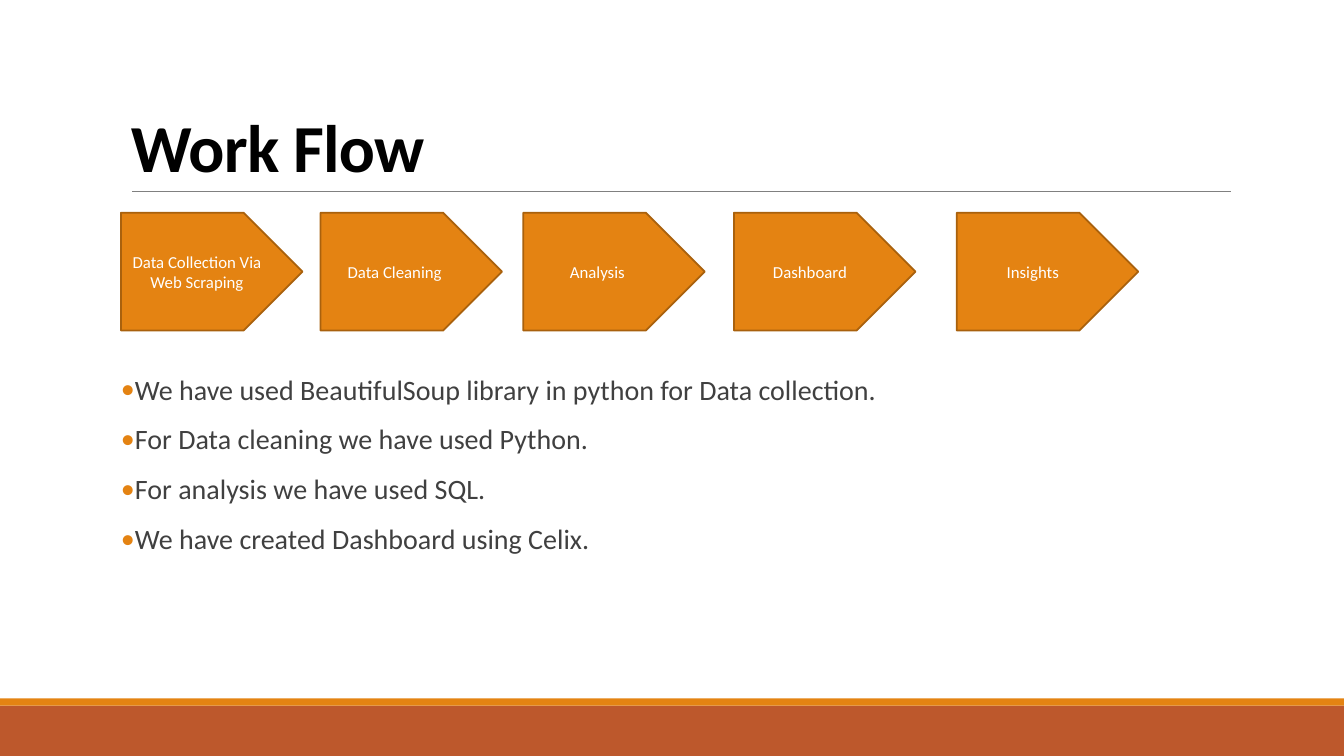
from lxml.etree import SubElement
from pptx import Presentation
from pptx.dml.color import RGBColor
from pptx.enum.shapes import MSO_CONNECTOR, MSO_SHAPE
from pptx.enum.text import MSO_ANCHOR as Anchor, PP_ALIGN as Align
from pptx.oxml.ns import qn
from pptx.util import Inches, Pt

COLORS = {
    "orange": "E48312",
    "dark_orange": "A9610D",
    "rust": "BD582C",
    "rule": "808080",
    "title": "000000",
    "body": "404040",
    "white": "FFFFFF",
}
STEPS = [
    (1.2, "Data Collection Via Web Scraping"),
    (3.18, "Data Cleaning "),
    (5.19, "Analysis "),
    (7.28, "Dashboard"),
    (9.49, "Insights"),
]
NOTES = [
    "We have used BeautifulSoup library in python for Data collection.",
    "For Data cleaning we have used Python.",
    "For analysis we have used SQL.",
    "We have created Dashboard using Celix.",
]


class SlideBuilder:
    font_name = "Calibri"

    def __init__(self, slide):
        self.slide = slide

    def color(self, name):
        return RGBColor.from_string(COLORS[name])

    def format_runs(self, paragraph, size, color, bold=False):
        for run in paragraph.runs:
            run.font.name = self.font_name
            run.font.size = Pt(size)
            run.font.bold = bold
            run.font.color.rgb = self.color(color)

    def block(self, preset, left, top, width, height, fill, line=None):
        shape = self.slide.shapes.add_shape(
            preset, Inches(left), Inches(top), Inches(width), Inches(height))
        shape.shadow.inherit = False
        shape.fill.solid()
        shape.fill.fore_color.rgb = self.color(fill)
        if line:
            shape.line.color.rgb = self.color(line)
            shape.line.width = Pt(1.25)
        else:
            shape.line.fill.background()
        return shape

    def step(self, left, label):
        shape = self.block(MSO_SHAPE.PENTAGON, left, 2.11, 1.8, 1.17,
                           "orange", "dark_orange")
        text_frame = shape.text_frame
        text_frame.word_wrap = True
        text_frame.vertical_anchor = Anchor.MIDDLE
        text_frame.text = label
        paragraph = text_frame.paragraphs[0]
        paragraph.alignment = Align.CENTER
        self.format_runs(paragraph, 12, "white")

    def rule(self, left, right, top):
        connector = self.slide.shapes.add_connector(
            MSO_CONNECTOR.STRAIGHT,
            Inches(left), Inches(top), Inches(right), Inches(top))
        connector.line.color.rgb = self.color("rule")
        connector.line.width = Pt(0.5)
        SubElement(connector._element.spPr, qn("a:effectLst"))

    def text_box(self, left, top, width, height, text):
        box = self.slide.shapes.add_textbox(
            Inches(left), Inches(top), Inches(width), Inches(height))
        box.text_frame.word_wrap = True
        box.text_frame.text = text
        return box.text_frame

    def title(self, text):
        text_frame = self.text_box(1.2, 0.31, 11, 1.59, text)
        text_frame.vertical_anchor = Anchor.BOTTOM
        paragraph = text_frame.paragraphs[0]
        paragraph.line_spacing = 0.85
        self.format_runs(paragraph, 48, "title", bold=True)
        paragraph.runs[0].font._element.set("spc", "-50")

    def bullets(self, lines):
        text_frame = self.text_box(1.2, 3.68, 11, 2.19, "\n".join(lines))
        text_frame.margin_left = text_frame.margin_right = 0
        for paragraph in text_frame.paragraphs:
            paragraph.line_spacing = 0.9
            paragraph.space_before = Pt(12)
            paragraph.space_after = Pt(2)
            self.format_runs(paragraph, 20, "body")
            self.add_bullet(paragraph)

    def add_bullet(self, paragraph):
        properties = paragraph._p.get_or_add_pPr()
        properties.set("marL", str(Inches(0.1)))
        properties.set("indent", str(Inches(-0.1)))
        bullet_color = SubElement(properties, qn("a:buClr"))
        SubElement(bullet_color, qn("a:srgbClr"), val=COLORS["orange"])
        SubElement(properties, qn("a:buFont"), typeface=self.font_name)
        SubElement(properties, qn("a:buChar"), char="•")


def main():
    presentation = Presentation()
    presentation.slide_width = Inches(13.33)
    presentation.slide_height = Inches(7.5)
    slide = presentation.slides.add_slide(presentation.slide_layouts[6])

    builder = SlideBuilder(slide)
    builder.block(MSO_SHAPE.RECTANGLE, 0, 7, 13.33, 0.5, "rust")
    builder.block(MSO_SHAPE.RECTANGLE, 0, 6.93, 13.33, 0.07, "orange")
    builder.rule(1.31, 12.21, 1.9)
    builder.title("Work Flow")
    builder.bullets(NOTES)
    for left, label in STEPS:
        builder.step(left, label)

    presentation.save("out.pptx")


if __name__ == "__main__":
    main()
